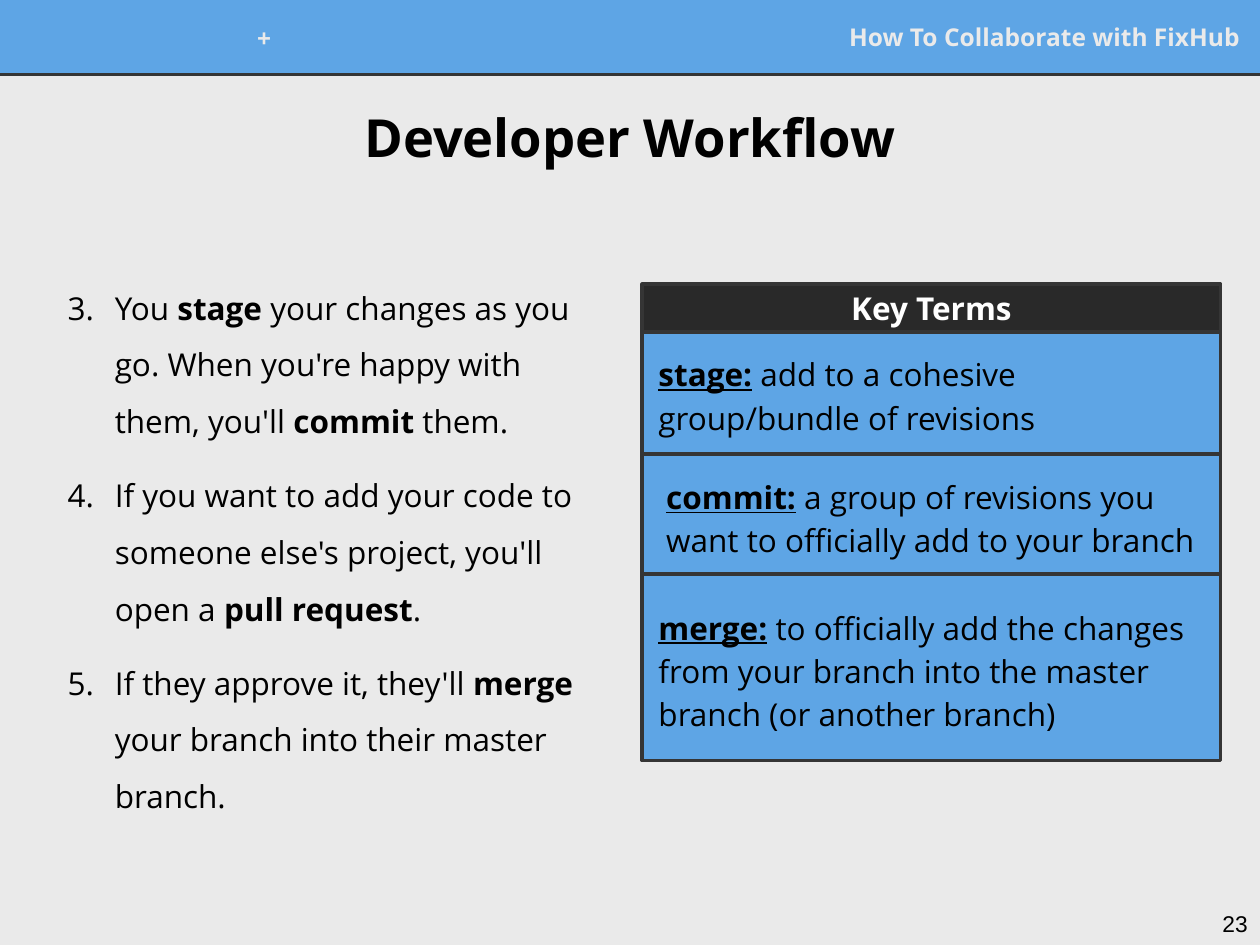
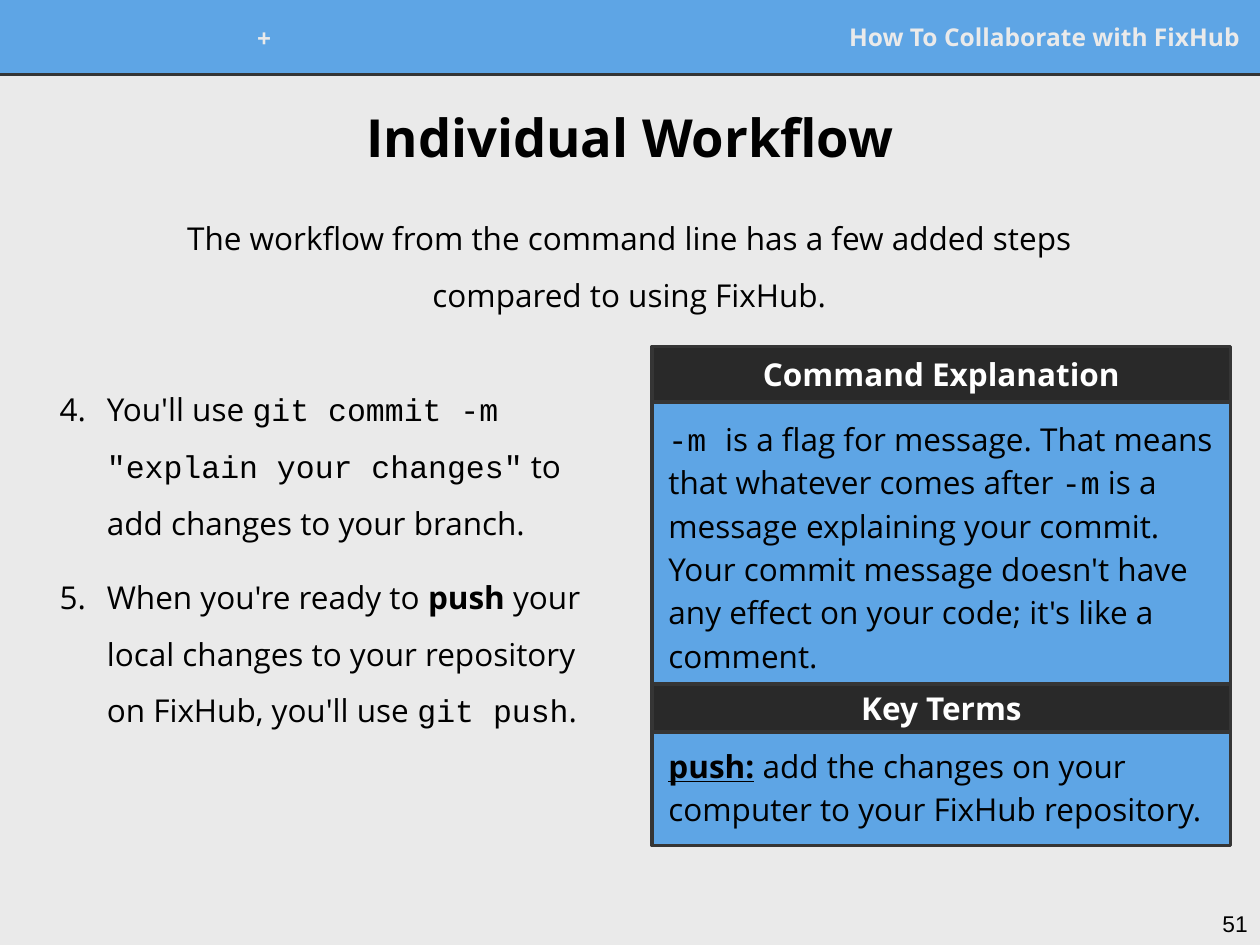
from lxml import etree
from pptx import Presentation
from pptx.dml.color import RGBColor
from pptx.enum.shapes import MSO_CONNECTOR, MSO_SHAPE
from pptx.enum.text import MSO_ANCHOR, PP_ALIGN
from pptx.oxml.ns import qn
from pptx.util import Pt

RECTANGLE = MSO_SHAPE.RECTANGLE
STRAIGHT = MSO_CONNECTOR.STRAIGHT
TOP, MIDDLE = MSO_ANCHOR.TOP, MSO_ANCHOR.MIDDLE
LEFT, CENTER, RIGHT = PP_ALIGN.LEFT, PP_ALIGN.CENTER, PP_ALIGN.RIGHT

PAPER = RGBColor(0xEA, 0xEA, 0xEA)
BLUE = RGBColor(0x5E, 0xA5, 0xE5)
CHARCOAL = RGBColor(0x35, 0x35, 0x35)
DARK = RGBColor(0x29, 0x29, 0x29)
WHITE = RGBColor(0xFF, 0xFF, 0xFF)
BLACK = RGBColor(0x00, 0x00, 0x00)

SANS = "Open Sans"
PLAIN = {"name": SANS, "size": Pt(18), "bold": False}
BOLD = {**PLAIN, "bold": True}
TERM = {**BOLD, "underline": True}
CODE = {**PLAIN, "name": "Courier New"}
TITLE = {**BOLD, "size": Pt(30)}
BANNER = {**BOLD, "size": Pt(14)}
NUMBER = {**PLAIN, "name": "Arial", "size": Pt(13)}

PAGE_WIDTH, PAGE_HEIGHT = 720, 540
BAND_HEIGHT = 42.5
CARD_WIDTH = 330.5
CARD_TEXT_WIDTH = 321
WIDE_INSET, CARD_INSET = 7.2, 4.3


def set_formats(target, formats):
    """Set each named attribute of the target."""
    for name, value in formats.items():
        setattr(target, name, value)


def set_frame(frame, inset, anchor):
    """Give a text frame its wrapping, anchor and equal margins."""
    margins = {f"margin_{side}": Pt(inset) for side in ("left", "top", "right", "bottom")}
    set_formats(frame, {"word_wrap": True, "vertical_anchor": anchor, **margins})


def add_spans(para, spans, color=BLACK):
    """Add formatted runs of text to a paragraph."""
    for text, formats in spans:
        span = para.add_run()
        span.text = text
        set_formats(span.font, formats)
        span.font.color.rgb = color


def add_text(page, box, spans, inset=WIDE_INSET, anchor=MIDDLE, color=BLACK, **formats):
    """Place a one-paragraph text box."""
    frame = page.shapes.add_textbox(*map(Pt, box)).text_frame
    set_frame(frame, inset, anchor)
    para = frame.paragraphs[0]
    set_formats(para, formats)
    add_spans(para, spans, color)


def add_panel(page, box, fill, line, line_width):
    """Place a flat filled rectangle."""
    panel = page.shapes.add_shape(RECTANGLE, *map(Pt, box))
    panel.shadow.inherit = False
    panel.fill.solid()
    panel.fill.fore_color.rgb = fill
    panel.line.color.rgb = line
    panel.line.width = Pt(line_width)
    return panel


def add_banner(page, box):
    """Draw the blue top band with its rule and labels."""
    left, top, width, height = box
    add_panel(page, box, BLUE, BLUE, 0.75)
    bottom = top + height
    rule = page.shapes.add_connector(
        STRAIGHT, Pt(left), Pt(bottom), Pt(left + width), Pt(bottom))
    rule.line.color.rgb = CHARCOAL
    rule.line.width = Pt(1.5)
    etree.SubElement(rule._element.spPr, qn("a:effectLst"))
    labels = [("How To Collaborate with FixHub", 326, 7.2, 389.7), ("+", 139, 7.9, 23)]
    for text, label_left, label_top, label_width in labels:
        add_text(page, (left + label_left, top + label_top, label_width, 27.4),
                 [(text, BANNER)], color=PAPER, alignment=RIGHT)


def add_steps(page, box, start, steps):
    """Place a numbered list that begins at the given number."""
    frame = page.shapes.add_textbox(*map(Pt, box)).text_frame
    set_frame(frame, WIDE_INSET, TOP)
    for index, spans in enumerate(steps):
        para = frame.add_paragraph() if index else frame.paragraphs[0]
        properties = para._p.get_or_add_pPr()
        properties.set("marL", str(Pt(36)))
        properties.set("indent", str(-Pt(27)))
        bullet_color = etree.SubElement(properties, qn("a:buClr"))
        etree.SubElement(bullet_color, qn("a:srgbClr"), val=str(BLACK))
        etree.SubElement(properties, qn("a:buFont"), typeface=SANS)
        etree.SubElement(properties, qn("a:buAutoNum"), type="arabicPeriod", startAt=str(start))
        para.line_spacing = 1.5
        if index:
            para.space_before = Pt(10)
        add_spans(para, spans)


def add_card(page, corner, heading, heading_height, rows):
    """Stack text rows under a dark heading and return the bottom edge."""
    left, top = corner
    row_top = top + heading_height
    for height, (text_left, text_top, text_height), spans in rows:
        add_panel(page, (left, row_top, CARD_WIDTH, height), BLUE, CHARCOAL, 2)
        add_text(page, (left + text_left, row_top + text_top, CARD_TEXT_WIDTH, text_height),
                 spans, CARD_INSET, TOP, alignment=LEFT, line_spacing=1.15, space_after=Pt(10))
        row_top += height
    panel = add_panel(page, (left, top, CARD_WIDTH, heading_height), DARK, CHARCOAL, 2)
    set_frame(panel.text_frame, CARD_INSET, MIDDLE)
    para = panel.text_frame.paragraphs[0]
    para.alignment = CENTER
    add_spans(para, [(heading, BOLD)], WHITE)
    return row_top


def add_page(deck, title, number):
    """Start a page with the shared background, banner, title and number."""
    page = deck.slides.add_slide(deck.slide_layouts[6])
    page.background.fill.solid()
    page.background.fill.fore_color.rgb = PAPER
    add_banner(page, (0, 0, PAGE_WIDTH, BAND_HEIGHT))
    add_text(page, (677, 512.6, 43, 27.4), [(number, NUMBER)], anchor=TOP, alignment=RIGHT)
    add_text(page, (12.6, 45.4, 694.8, 64.8), [(title, TITLE)], alignment=CENTER)
    return page


def build_developer_page(deck):
    """Build the developer workflow page."""
    page = add_page(deck, "Developer Workflow", "23")
    add_steps(page, (22.5, 146.9, 322.6, 321), 3, [
        [("You ", PLAIN), ("stage", BOLD),
         (" your changes as you go. When you're happy with them, you'll ", PLAIN),
         ("commit", BOLD), (" them.", PLAIN)],
        [("If you want to add your code to someone else's project, you'll open a ", PLAIN),
         ("pull request", BOLD), (".", PLAIN)],
        [("If they approve it, they'll ", PLAIN), ("merge", BOLD),
         (" your branch into their master branch.", PLAIN)],
    ])
    add_card(page, (367, 162.4), "Key Terms", 27.4, [
        (69.8, (5, 5.8, 59), [
            ("stage:", TERM), (" add to a cohesive group/bundle of revisions", PLAIN)]),
        (68.4, (9.4, 5.8, 59), [
            ("commit:", TERM),
            (" a group of revisions you want to officially add to your branch", PLAIN)]),
        (106.6, (5, 12.2, 88.6), [
            ("merge:", TERM),
            (" to officially add the changes from your branch into the master branch "
             "(or another branch)", PLAIN)]),
    ])


def build_individual_page(deck):
    """Build the individual workflow page."""
    page = add_page(deck, "Individual Workflow", "51")
    card_left = 372.7
    card_bottom = add_card(page, (card_left, 198), "Command Explanation", 31.7, [
        (161.3, (5, 2.6, 161.3), [
            ("-m ", CODE),
            ("is a flag for message. That means that whatever comes after ", PLAIN),
            ("-m", CODE),
            (" is a message explaining your commit. Your commit message doesn't have "
             "any effect on your code; it's like a comment.", PLAIN)]),
    ])
    add_steps(page, (18, 205, 340.6, 321), 4, [
        [("You'll use ", PLAIN), ('git commit -m "explain your changes"', CODE),
         (" to add changes to your branch.", PLAIN)],
        [("When you're ready to ", PLAIN), ("push", BOLD),
         (" your local changes to your repository on FixHub, you'll use ", PLAIN),
         ("git push", CODE), (".", PLAIN)],
    ])
    add_card(page, (card_left, card_bottom), "Key Terms", 27.4, [
        (64.8, (5, 0.7, 57), [
            ("push:", TERM),
            (" add the changes on your computer to your FixHub repository.", PLAIN)]),
    ])
    add_text(page, (81.4, 116.6, 556.6, 60.5), [
        ("The workflow from the command line has a few added steps compared to using FixHub.",
         PLAIN)], alignment=CENTER, line_spacing=1.5)


def main():
    """Build and save the deck."""
    deck = Presentation()
    deck.slide_width, deck.slide_height = Pt(PAGE_WIDTH), Pt(PAGE_HEIGHT)
    build_developer_page(deck)
    build_individual_page(deck)
    deck.save("out.pptx")


if __name__ == "__main__":
    main()
